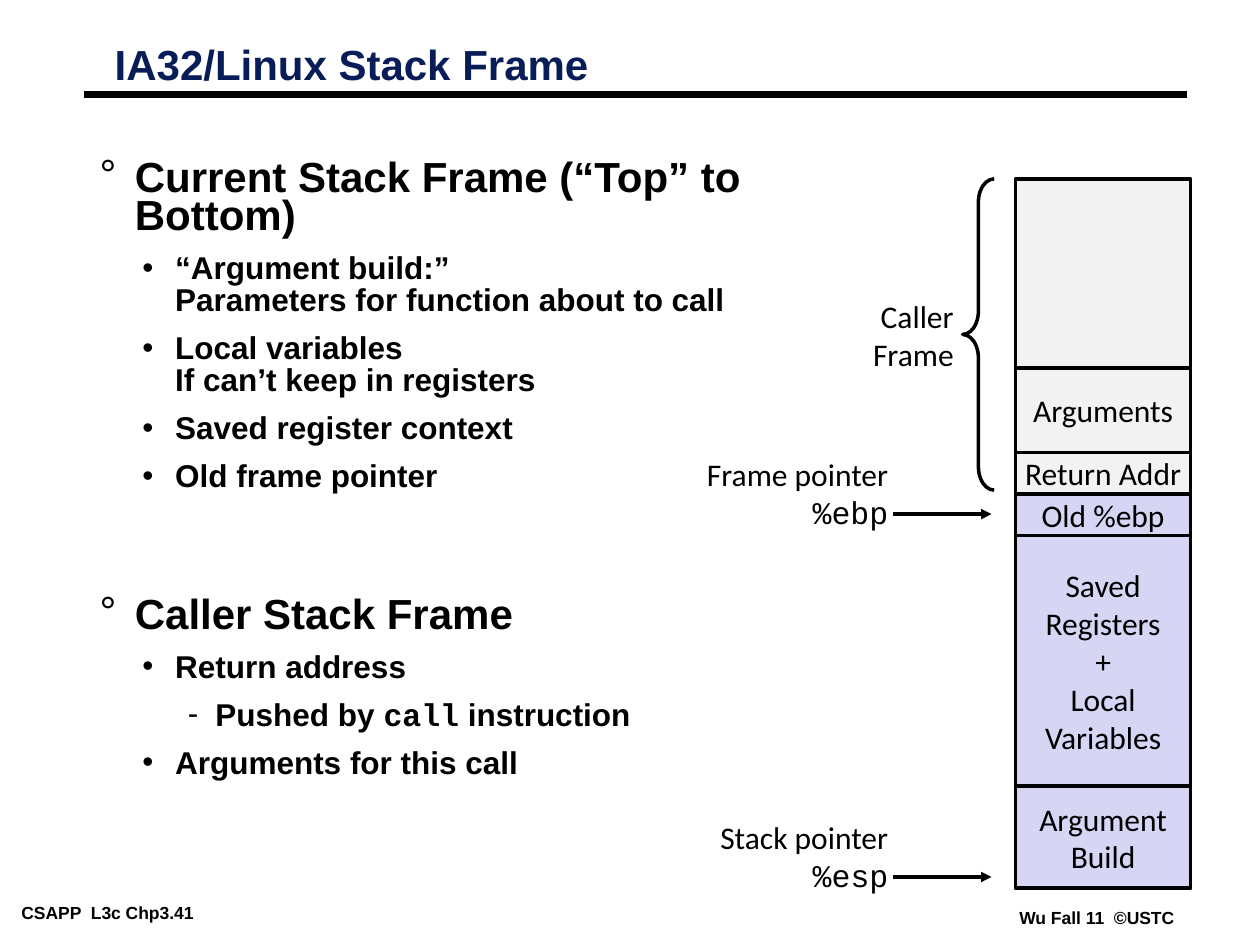
from lxml import etree
from pptx import Presentation
from pptx.dml.color import RGBColor
from pptx.enum import shapes, text
from pptx.oxml import ns
from pptx.util import Inches, Pt

INK = {"black": "000000", "navy": "081D58", "grey": "F2F2F2", "lilac": "D6D6F4"}
MONO = "Courier New"
LEFT, MID, RIGHT = text.PP_ALIGN.LEFT, text.PP_ALIGN.CENTER, text.PP_ALIGN.RIGHT

# level: (bullet, left margin, indent, line spacing, space before, size)
LEVELS = [
    ("°", 0.28, -0.28, 0.75, 19.5, 24),
    ("•", 0.6, -0.26, 0.85, 9, 18),
    ("-", 0.92, -0.22, 0.85, 9, 18),
]
GAP = 60  # points between the two groups of the list

# level, lines; each line is a list of (words, font)
POINTS = [
    (0, [[("Current Stack Frame (“Top” to Bottom)", "Arial")]]),
    (1, [[("“Argument build:”", "Arial")],
         [("Parameters for function about to call", "Arial")]]),
    (1, [[("Local variables", "Arial")], [("If can’t keep in registers", "Arial")]]),
    (1, [[("Saved register context", "Arial")]]),
    (1, [[("Old frame pointer", "Arial")]]),
    (0, [[("Caller Stack Frame", "Arial")]]),
    (1, [[("Return address", "Arial")]]),
    (2, [[("Pushed by ", "Arial"), ("call", MONO), (" instruction", "Arial")]]),
    (1, [[("Arguments for this call", "Arial")]]),
]

# height, fill, lines
CELLS = [
    (1.5, "grey", []),
    (0.67, "grey", ["Arguments"]),
    (0.33, "grey", ["Return Addr"]),
    (0.33, "lilac", ["Old %ebp"]),
    (1.99, "lilac", ["Saved", "Registers", "+", "Local", "Variables"]),
    (0.81, "lilac", ["Argument", "Build"]),
]


def rgb(name):
    return RGBColor.from_string(INK[name])


def add_run(para, words, size, face="Calibri", bold=False, ink="black"):
    run = para.add_run()
    run.text = words
    font = run.font
    font.size, font.name, font.bold = Pt(size), face, bold
    font.color.rgb = rgb(ink)


def place(shape, left, top, width, height):
    shape.left, shape.top = Inches(left), Inches(top)
    shape.width, shape.height = Inches(width), Inches(height)


def set_frame(frame, pad=0.04, anchor=text.MSO_ANCHOR.TOP):
    frame.word_wrap = True
    frame.auto_size = text.MSO_AUTO_SIZE.NONE
    frame.vertical_anchor = anchor
    frame.margin_left = frame.margin_right = Inches(pad)
    frame.margin_top = frame.margin_bottom = Inches(pad)


def set_indent(para, margin, indent, bullet=None):
    props = para._p.get_or_add_pPr()
    props.set("marL", str(Inches(margin)))
    props.set("indent", str(Inches(indent)))
    if bullet:
        tint = etree.SubElement(props, ns.qn("a:buClr"))
        etree.SubElement(tint, ns.qn("a:srgbClr"), val=INK["black"])
        etree.SubElement(props, ns.qn("a:buChar"), char=bullet)
    else:
        etree.SubElement(props, ns.qn("a:buNone"))


def add_lines(frame, lines, align):
    """Write each (words, face) pair as a paragraph of its own."""
    for i, (words, face) in enumerate(lines):
        para = frame.add_paragraph() if i else frame.paragraphs[0]
        para.alignment = align
        add_run(para, words, 18, face)


def add_line(slide, start, end, weight, arrow=False):
    line = slide.shapes.add_connector(
        shapes.MSO_CONNECTOR.STRAIGHT, *map(Inches, start + end))
    line.line.width = Pt(weight)
    line.line.color.rgb = rgb("black")
    if arrow:
        etree.SubElement(line.line._get_or_add_ln(), ns.qn("a:tailEnd"), type="triangle")
    etree.SubElement(line._element.spPr, ns.qn("a:effectLst"))


def add_label(slide, left, top, width, height, lines):
    box = slide.shapes.add_textbox(*map(Inches, (left, top, width, height)))
    set_frame(box.text_frame)
    add_lines(box.text_frame, lines, RIGHT)


def add_header(slide, left, top, width, height):
    title = slide.shapes.title
    place(title, left, top, width, height)
    set_frame(title.text_frame, anchor=text.MSO_ANCHOR.MIDDLE)
    para = title.text_frame.paragraphs[0]
    set_indent(para, 0.13, -0.13)
    para.alignment, para.line_spacing = LEFT, 0.87
    add_run(para, "IA32/Linux Stack Frame", 24, "Arial", True, "navy")
    rule = top + height
    add_line(slide, (left - 0.2, rule), (left + 8.55, rule), 4.5)


def add_list(slide, left, top, width, height):
    body = slide.placeholders[1]
    place(body, left, top, width, height)
    frame = body.text_frame
    set_frame(frame)
    for i, (level, lines) in enumerate(POINTS):
        bullet, margin, indent, pitch, before, size = LEVELS[level]
        para = frame.add_paragraph() if i else frame.paragraphs[0]
        para.level = level
        set_indent(para, margin, indent, bullet)
        para.line_spacing = pitch
        para.space_before = Pt(0 if i == 0 else before if level else GAP)
        for j, parts in enumerate(lines):
            if j:
                para.add_line_break()
            for words, face in parts:
                add_run(para, words, size, face, True)


def add_stack(slide, left, top, width):
    for height, fill, lines in CELLS:
        cell = slide.shapes.add_shape(
            shapes.MSO_SHAPE.RECTANGLE, *map(Inches, (left, top, width, height)))
        cell.shadow.inherit = False
        cell.fill.solid()
        cell.fill.fore_color.rgb = rgb(fill)
        cell.line.color.rgb = rgb("black")
        cell.line.width = Pt(2)
        set_frame(cell.text_frame, 0, text.MSO_ANCHOR.MIDDLE)
        add_lines(cell.text_frame, [(words, "Calibri") for words in lines], MID)
        top += height


def add_brace(slide, left, top, width, height):
    brace = slide.shapes.add_shape(
        shapes.MSO_SHAPE.LEFT_BRACE, *map(Inches, (left, top, width, height)))
    brace.shadow.inherit = False
    brace.adjustments[0] = 0.74
    brace.fill.background()
    brace.line.color.rgb = rgb("black")
    brace.line.width = Pt(2)
    add_label(slide, left - 0.86, top + 0.9, 0.83, 0.68,
              [("Caller", "Calibri"), ("Frame", "Calibri")])


def add_pointer(slide, left, top, width, name, reg):
    """Name a register and point an arrow from it at the stack."""
    add_label(slide, left, top, width, 0.67, [(name, "Calibri"), (reg, MONO)])
    level = top + 0.51
    add_line(slide, (left + width, level), (7.87, level), 2, arrow=True)


def add_footer(slide, left, top, width, words):
    box = slide.shapes.add_textbox(*map(Inches, (left, top, width, 0.22)))
    set_frame(box.text_frame, 0.03)
    box.text_frame.margin_left = Inches(0.07)
    add_run(box.text_frame.paragraphs[0], words, 10, "Arial", True)


def main():
    deck = Presentation()
    deck.slide_width, deck.slide_height = Inches(10), Inches(7.5)
    slide = deck.slides.add_slide(deck.slide_layouts[1])
    add_footer(slide, 0.1, 7.13, 2.02, "CSAPP  L3c Chp3.41")
    add_footer(slide, 8.02, 7.17, 1.5, "Wu Fall 11  ©USTC")
    add_header(slide, 0.87, 0.32, 4.68, 0.43)
    add_list(slide, 0.75, 1.25, 5.5, 5.07)
    add_stack(slide, 8.06, 1.42, 1.39)
    add_brace(slide, 7.64, 1.42, 0.25, 2.47)
    add_pointer(slide, 5.39, 3.57, 1.7, "Frame pointer", "%ebp")
    add_pointer(slide, 5.47, 6.45, 1.62, "Stack pointer", "%esp")
    deck.save("out.pptx")


if __name__ == "__main__":
    main()
